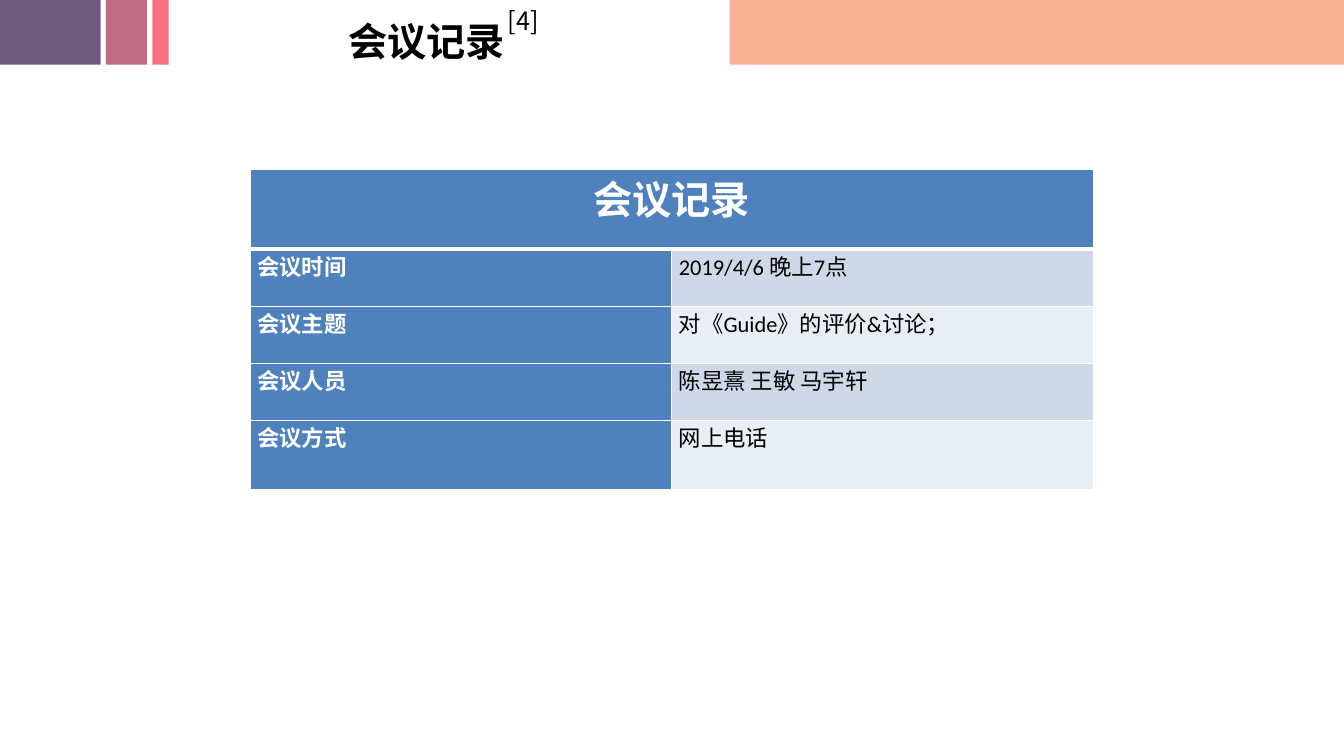
from lxml.etree import SubElement
from pptx import Presentation
from pptx.dml.color import RGBColor
from pptx.enum.shapes import MSO_SHAPE
from pptx.enum.text import MSO_AUTO_SIZE, PP_ALIGN
from pptx.oxml import parse_xml
from pptx.oxml.ns import nsdecls, qn
from pptx.util import Cm, Pt

COLORS = {
    "peach": "F8B193", "purple": "6C5B7B", "mauve": "C06C84", "coral": "F67280",
    "blue": "4F81BD", "band_dark": "D0D8E8", "band_light": "E9EDF4",
    "white": "FFFFFF", "black": "000000",
}
CJK_FONT = "Noto Sans CJK SC"


def style_text(p, size, color, bold=False, font="Calibri"):
    for r in p.runs:
        r.font.size = Pt(size)
        r.font.bold = bold
        r.font.name = font
        r.font.color.rgb = RGBColor.from_string(COLORS[color])
        SubElement(r.font._element, qn("a:ea")).set("typeface", CJK_FONT)


def set_borders(cell, bottom):
    tcPr = cell._tc.get_or_add_tcPr()
    for i, (side, width) in enumerate([("L", 1), ("R", 1), ("T", 1), ("B", bottom)]):
        tcPr.insert(i, parse_xml(
            f'<a:ln{side} {nsdecls("a")} w="{Pt(width)}"><a:solidFill>'
            f'<a:srgbClr val="{COLORS["white"]}"/></a:solidFill></a:ln{side}>'))


prs = Presentation()
prs.slide_width, prs.slide_height = Cm(33.87), Cm(19.05)
s = prs.slides.add_slide(prs.slide_layouts[6])

# Header colour blocks
for left, width, color in [(18.39, 15.48, "peach"), (0, 2.54, "purple"),
                           (2.67, 1.04, "mauve"), (3.84, 0.41, "coral")]:
    sp = s.shapes.add_shape(MSO_SHAPE.RECTANGLE, Cm(left), 0, Cm(width), Cm(1.63))
    sp.shadow.inherit = False
    sp.fill.solid()
    sp.fill.fore_color.rgb = RGBColor.from_string(COLORS[color])
    sp.line.fill.background()

# Title and its reference mark
for text, left, top, width, height, size, bold in [
        ("会议记录", 8.53, 0.3, 4.52, 1.45, 28, True),
        ("[4]", 12.55, 0, 1.47, 1.02, 18, False)]:
    sp = s.shapes.add_textbox(Cm(left), Cm(top), Cm(width), Cm(height))
    tf = sp.text_frame
    tf.word_wrap = False
    tf.auto_size = MSO_AUTO_SIZE.SHAPE_TO_FIT_TEXT
    tf.text = text
    style_text(tf.paragraphs[0], size, "black", bold, CJK_FONT)

# Meeting record table
rows = [
    ("会议记录", ""),
    ("会议时间", "2019/4/6 晚上7点"),
    ("会议主题", "对《Guide》的评价&讨论；"),
    ("会议人员", "陈昱熹 王敏 马宇轩"),
    ("会议方式", "网上电话"),
]
heights = [2.01, 1.44, 1.44, 1.44, 1.73]
table = s.shapes.add_table(len(rows), 2, Cm(6.3), Cm(4.27),
                           Cm(21.26), Cm(sum(heights))).table
for column in table.columns:
    column.width = Cm(10.63)
table.cell(0, 0).merge(table.cell(0, 1))

for i, (row, height) in enumerate(zip(rows, heights)):
    table.rows[i].height = Cm(height)
    for j, text in enumerate(row):
        cell = table.cell(i, j)
        heading = i == 0 or j == 0
        band = "band_dark" if i % 2 else "band_light"
        cell.margin_left = cell.margin_right = Cm(0.18)
        cell.margin_top = cell.margin_bottom = 0
        cell.fill.solid()
        cell.fill.fore_color.rgb = RGBColor.from_string(
            COLORS["blue" if heading else band])
        set_borders(cell, 3 if i == 0 else 1)
        if text:
            p = cell.text_frame.paragraphs[0]
            p.text = text
            p.alignment = PP_ALIGN.CENTER if i == 0 else PP_ALIGN.LEFT
            style_text(p, 28 if i == 0 else 16, "white" if heading else "black", heading)

prs.save("out.pptx")
